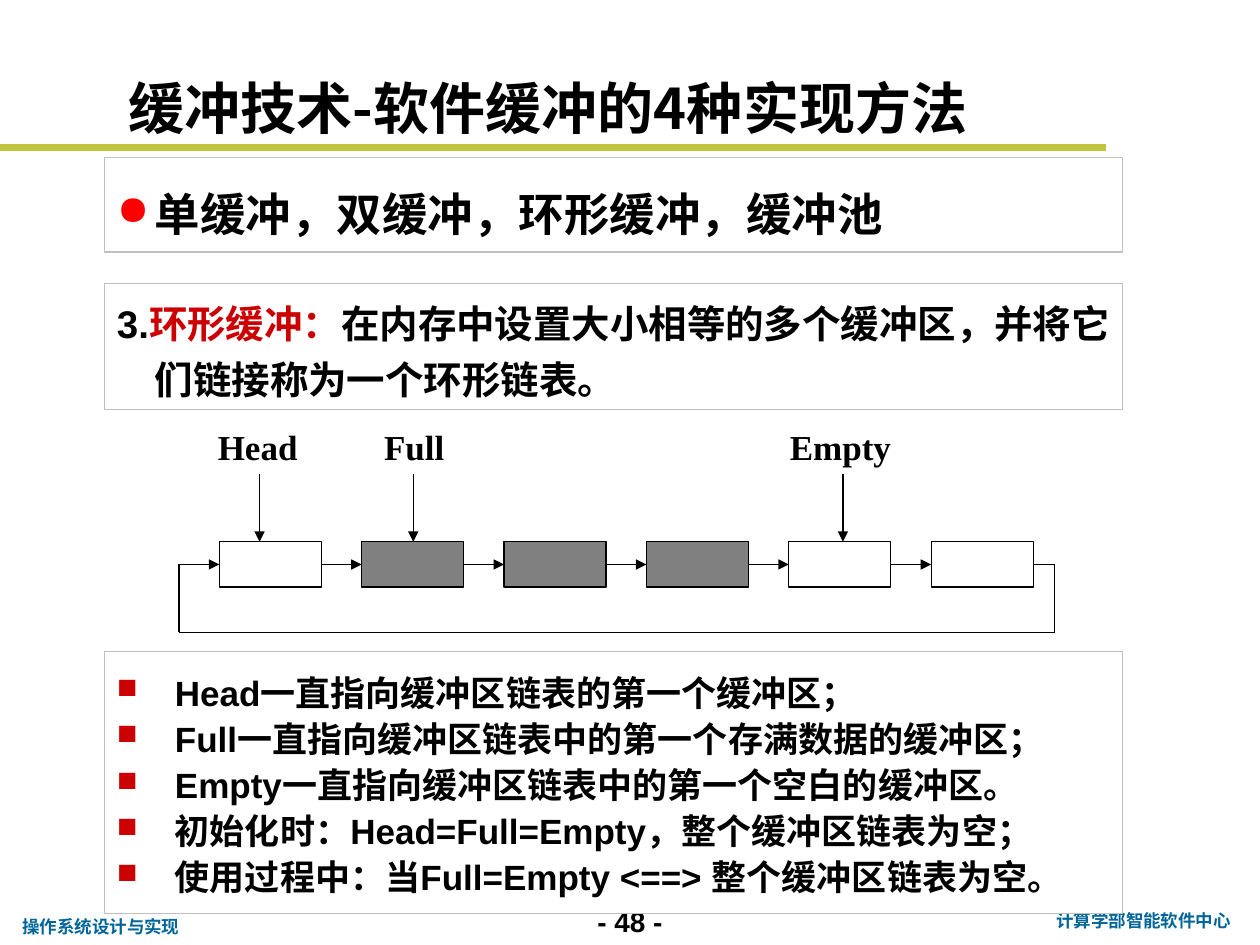
import dataclasses
import itertools

import lxml.etree
import pptx
import pptx.dml.color
import pptx.enum.shapes
import pptx.enum.text
import pptx.oxml.ns
import pptx.util

Inches = pptx.util.Inches
Align = pptx.enum.text.PP_ALIGN
Anchor = pptx.enum.text.MSO_ANCHOR


@dataclasses.dataclass(frozen=True)
class Theme:
    black: str = "000000"
    white: str = "FFFFFF"
    full: str = "808080"
    border: str = "C0C0C0"
    accent: str = "C1C43C"
    footer: str = "006699"
    red: str = "CC0000"
    bright_red: str = "FF0000"
    body_font: str = "Arial"
    title_font: str = "Noto Sans CJK SC"
    footer_font: str = "Roboto"
    label_font: str = "Times New Roman"
    title_size: int = 32
    headline_size: int = 26
    definition_size: int = 22
    text_size: int = 20
    page_size: int = 16
    footer_size: int = 10
    thin: float = 0.75
    rule: float = 4


def rgb(color):
    return pptx.dml.color.RGBColor.from_string(color)


def add_xml(parent, tag, **attributes):
    return lxml.etree.SubElement(parent, pptx.oxml.ns.qn(tag), attributes)


class SlideBuilder:
    def __init__(self, slide, theme):
        self.slide = slide
        self.theme = theme

    def style(self, paragraph, size, font=None, color=None, align=Align.LEFT):
        paragraph.alignment = align
        paragraph.font.name = font or self.theme.body_font
        paragraph.font.size = pptx.util.Pt(size)
        paragraph.font.bold = True
        paragraph.font.color.rgb = rgb(color or self.theme.black)

    def title(self, text, left, top, width, height):
        shape = self.slide.shapes.title
        shape.left, shape.top = Inches(left), Inches(top)
        shape.width, shape.height = Inches(width), Inches(height)
        frame = shape.text_frame
        frame.text = text
        frame.auto_size = pptx.enum.text.MSO_AUTO_SIZE.NONE
        frame.vertical_anchor = Anchor.BOTTOM
        self.style(frame.paragraphs[0], self.theme.title_size, self.theme.title_font)

    def label(self, text, left, top, width, height, size, font, color=None,
              align=Align.LEFT, wrap=True):
        shape = self.slide.shapes.add_textbox(
            Inches(left), Inches(top), Inches(width), Inches(height))
        shape.text_frame.word_wrap = wrap
        paragraph = shape.text_frame.paragraphs[0]
        paragraph.text = text
        self.style(paragraph, size, font, color, align)

    def box(self, left, top, width, height, fill, line):
        shape = self.slide.shapes.add_shape(
            pptx.enum.shapes.MSO_SHAPE.RECTANGLE,
            Inches(left), Inches(top), Inches(width), Inches(height))
        shape.shadow.inherit = False
        shape.fill.solid()
        shape.fill.fore_color.rgb = rgb(fill)
        shape.line.color.rgb = rgb(line)
        shape.line.width = pptx.util.Pt(self.theme.thin)
        return shape

    def panel(self, paragraphs, top, height, size, spacing, indent, bullet=None):
        """Bordered text box; each paragraph is a list of (text, color) runs,
        and bullet is (character, color, percent of text size)."""
        shape = self.box(0.83, top, 8.08, height, self.theme.white, self.theme.border)
        frame = shape.text_frame
        frame.word_wrap = True
        frame.vertical_anchor = Anchor.MIDDLE
        for index, runs in enumerate(paragraphs):
            paragraph = frame.add_paragraph() if index else frame.paragraphs[0]
            paragraph.line_spacing = spacing
            properties = paragraph._p.get_or_add_pPr()
            properties.set("marL", str(Inches(indent)))
            properties.set("indent", str(-Inches(indent)))
            if bullet:
                character, color, percent = bullet
                bullet_color = add_xml(properties, "a:buClr")
                add_xml(bullet_color, "a:srgbClr", val=color)
                add_xml(properties, "a:buSzPct", val=str(percent * 1000))
                add_xml(properties, "a:buChar", char=character)
            self.style(paragraph, size)
            for text, color in runs:
                run = paragraph.add_run()
                run.text = text
                if color:
                    run.font.color.rgb = rgb(color)

    def line(self, start, end, arrow=False, color=None, width=None):
        connector = self.slide.shapes.add_connector(
            pptx.enum.shapes.MSO_CONNECTOR.STRAIGHT,
            *(Inches(value) for value in (*start, *end)))
        connector.line.color.rgb = rgb(color or self.theme.black)
        connector.line.width = pptx.util.Pt(width or self.theme.thin)
        if arrow:
            add_xml(connector.line._get_or_add_ln(), "a:tailEnd", type="triangle")
        add_xml(connector._element.spPr, "a:effectLst")

    def ring(self, filled):
        """Row of linked buffers, one per flag, closed by a line underneath."""
        left, top, width, height, pitch = 1.74, 4.3, 0.81, 0.36, 1.13
        middle, bottom, outer_left, outer_right = 4.48, 5.02, 1.42, 8.37
        for index, is_full in enumerate(filled):
            x = left + index * pitch
            fill = self.theme.full if is_full else self.theme.white
            self.box(x, top, width, height, fill, self.theme.black)
            if index < len(filled) - 1:
                self.line((x + width, middle), (x + pitch, middle), arrow=True)
        corners = [(x + width, middle), (outer_right, middle), (outer_right, bottom),
                   (outer_left, bottom), (outer_left, middle), (left, middle)]
        for start, end in itertools.pairwise(corners):
            self.line(start, end, arrow=end == corners[-1])

    def pointer(self, name, label_left, label_width, x):
        self.label(name, label_left, 3.33, label_width, 0.54, self.theme.text_size,
                   self.theme.label_font, align=Align.JUSTIFY)
        self.line((x, 3.76), (x, 4.3), arrow=True)


def main():
    presentation = pptx.Presentation()
    presentation.slide_width, presentation.slide_height = Inches(10), Inches(7.5)
    theme = Theme()
    slide = presentation.slides.add_slide(presentation.slide_layouts[5])
    builder = SlideBuilder(slide, theme)

    builder.label("- 48 -", 4.5, 7.13, 1, 0.37, theme.page_size, theme.body_font,
                  align=Align.CENTER)
    builder.line((0, 1.17), (8.78, 1.17), color=theme.accent, width=theme.rule)
    builder.label("计算学部智能软件中心", 8.25, 7.17, 1.65, 0.27, theme.footer_size,
                  theme.footer_font, theme.footer, Align.CENTER)
    builder.label("操作系统设计与实现", 0.08, 7.22, 1.46, 0.27, theme.footer_size,
                  theme.footer_font, theme.footer, wrap=False)

    builder.title("缓冲技术-软件缓冲的4种实现方法", 0.92, 0.54, 7.83, 0.63)
    builder.panel([[("单缓冲，双缓冲，环形缓冲，缓冲池", None)]], 1.25, 0.75,
                  theme.headline_size, 1.3, 0.3, ("●", theme.bright_red, 90))
    definition = [
        ("3.", None),
        ("环形缓冲：", theme.red),
        ("在内存中设置大小相等的多个缓冲区，并将它们链接称为一个环形链表。", None),
    ]
    builder.panel([definition], 2.25, 1, theme.definition_size, 1.2, 0.3)

    builder.ring([False, True, True, True, False, False])
    builder.pointer("Head", 1.63, 1.09, 2.06)
    builder.pointer("Full", 2.95, 0.81, 3.28)
    builder.pointer("Empty", 6.17, 1.3, 6.69)

    rules = [
        "Head一直指向缓冲区链表的第一个缓冲区；",
        "Full一直指向缓冲区链表中的第一个存满数据的缓冲区；",
        "Empty一直指向缓冲区链表中的第一个空白的缓冲区。",
        "初始化时：Head=Full=Empty，整个缓冲区链表为空；",
        "使用过程中：当Full=Empty <==> 整个缓冲区链表为空。",
    ]
    builder.panel([[(rule, None)] for rule in rules], 5.17, 2.08,
                  theme.text_size, 1.1, 0.46, ("■", theme.red, 80))
    presentation.save("out.pptx")


if __name__ == "__main__":
    main()
